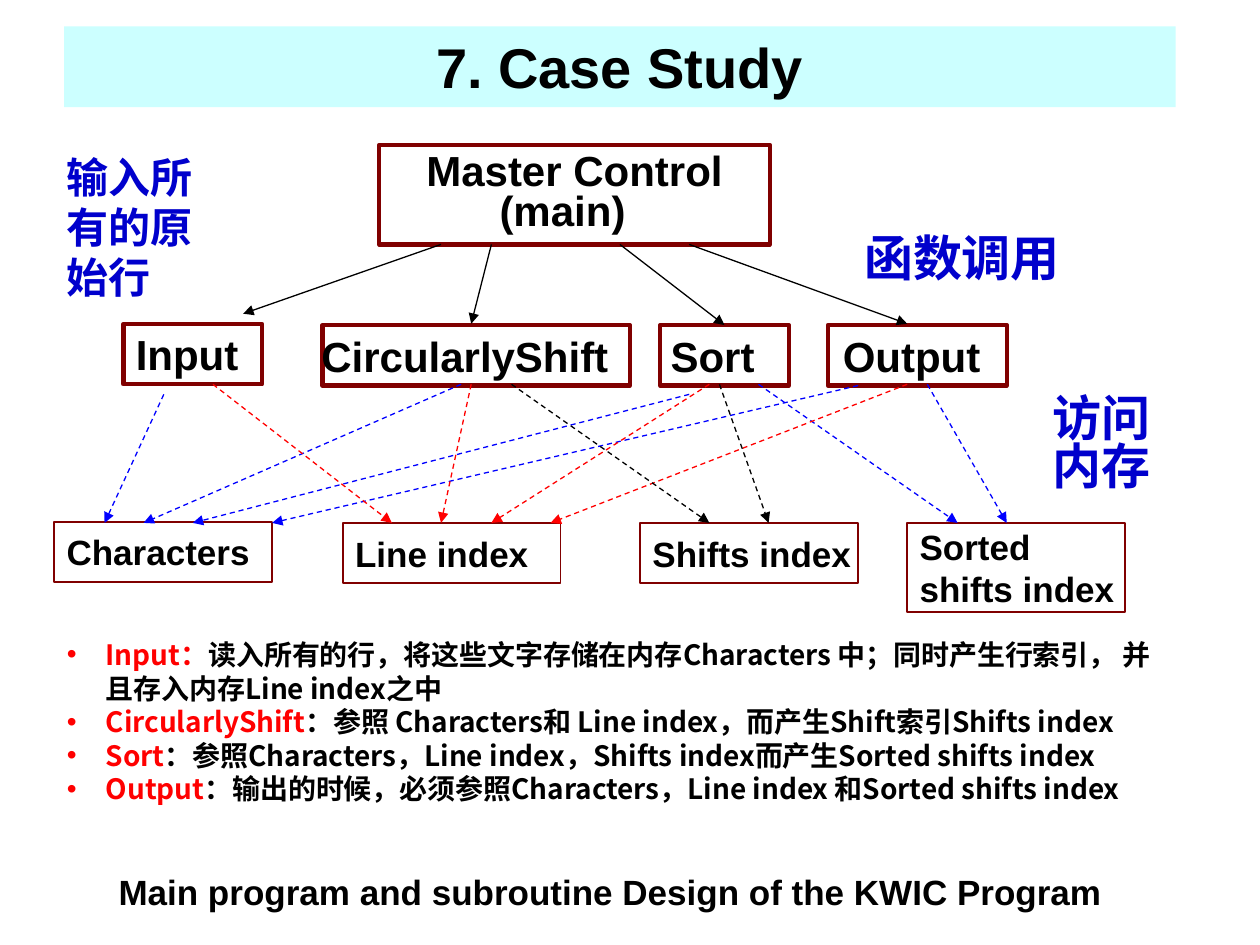
"""Build the KWIC case study slide: call tree, shared memory links and notes."""
import pptx
import pptx.util
from lxml import etree
from pptx.dml.color import RGBColor
from pptx.enum.dml import MSO_LINE
from pptx.enum.shapes import MSO_CONNECTOR, MSO_SHAPE
from pptx.enum.text import MSO_ANCHOR, MSO_AUTO_SIZE, PP_ALIGN
from pptx.oxml.ns import qn

PX = 9144
BLACK = RGBColor(0, 0, 0)
WHITE = RGBColor(255, 255, 255)
MAROON = RGBColor(128, 0, 0)
RED = RGBColor(255, 0, 0)
BLUE = RGBColor(0, 0, 255)
NAVY = RGBColor(0, 0, 204)
AQUA = RGBColor(204, 255, 255)
LATIN, CHINESE = "Arial", "Noto Sans CJK SC"
LEFT, CENTER = PP_ALIGN.LEFT, PP_ALIGN.CENTER

TITLE = ("7. Case Study", (51, 21, 882, 64))
CAPTION = "Main program and subroutine Design of the KWIC Program"
MASTER = (["Master Control", "(main)"], (301, 115, 310, 79))
ROUTINES = [
    ("Input", (98, 257, 110, 48), LEFT, (10, 10)),
    ("CircularlyShift", (256, 258, 244, 48), CENTER, (0, 18)),
    ("Sort", (524, 258, 102, 48), CENTER, (0, 19)),
    ("Output", (657, 258, 142, 48), CENTER, (0, 9)),
]
MEMORIES = [
    (["Characters"], (43, 414, 173, 48)),
    (["Line index"], (272, 415, 173, 48)),
    (["Shifts index"], (508, 415, 173, 48)),
    (["Sorted", "shifts index"], (720, 415, 173, 71)),
]
CALLS = [
    (390, 194, 374, 257), (492, 194, 575, 258),
    (547, 194, 720, 257), (350, 194, 193, 249),
]
SORT_CALL = 1
MEMORY_TOP = 415
ACCESSES = [
    (BLUE, [(130, 313, 83), (366, 305, 114), (547, 313, 153), (681, 306, 216),
            (602, 305, 760), (736, 305, 799)]),
    (RED, [(169, 305, 311), (374, 305, 350), (563, 305, 390), (720, 305, 437)]),
    (BLACK, [(406, 305, 563), (571, 305, 610)]),
]
LABELS = [
    (["函数调用"], (673, 185, 181, 48), 28, CENTER, 0.8),
    (["访问", "内存"], (799, 312, 150, 85), 28, CENTER, 0.8),
    (["输入所有的原始行"], (43, 115, 134, 130), 24, LEFT, 1.0),
]
NOTES_AREA = (43, 501, 890, 197)
NOTES = [
    ("Input：", "读入所有的行，将这些文字存储在内存Characters 中；同时产生行索引， 并且存入内存Line index之中"),
    ("CircularlyShift", "：参照 Characters和 Line index，而产生Shift索引Shifts index"),
    ("Sort", "：参照Characters，Line index，Shifts index而产生Sorted shifts index"),
    ("Output", "：输出的时候，必须参照Characters，Line index 和Sorted shifts index"),
]


def scaled(lengths):
    return [length * PX for length in lengths]


def assign(target, values):
    for name, value in values.items():
        setattr(target, name, value)


def place(part, area):
    assign(part, dict(zip(("left", "top", "width", "height"), scaled(area))))


def set_frame(part, wrap=True, anchor=MSO_ANCHOR.TOP, sides=(10, 10)):
    assign(part.text_frame, {
        "word_wrap": wrap, "auto_size": MSO_AUTO_SIZE.NONE, "vertical_anchor": anchor,
        "margin_left": sides[0] * PX, "margin_right": sides[1] * PX,
        "margin_top": 5 * PX, "margin_bottom": 5 * PX,
    })


def add_run(paragraph, text, size, face, color):
    run = paragraph.add_run()
    run.text = text
    assign(run.font, {"size": pptx.util.Pt(size), "name": face, "bold": True})
    run.font.color.rgb = color
    etree.SubElement(run.font._element, qn("a:ea"), typeface=face)


def write(part, lines, size, face=LATIN, color=BLACK, align=LEFT, spacing=1.0):
    frame = part.text_frame
    for index, line in enumerate(lines):
        paragraph = frame.add_paragraph() if index else frame.paragraphs[0]
        assign(paragraph, {"alignment": align, "line_spacing": spacing})
        add_run(paragraph, line, size, face, color)


def add_box(slide, lines, area, border, size, align=LEFT, sides=(10, 10), spacing=1.0):
    box = slide.shapes.add_shape(MSO_SHAPE.RECTANGLE, *scaled(area))
    box.shadow.inherit = False
    box.fill.solid()
    box.fill.fore_color.rgb = WHITE
    box.line.color.rgb = MAROON
    box.line.width = pptx.util.Pt(border)
    set_frame(box, False, MSO_ANCHOR.MIDDLE, sides)
    write(box, lines, size, align=align, spacing=spacing)
    return box


def add_arrow(slide, ends, color, dash=None):
    arrow = slide.shapes.add_connector(MSO_CONNECTOR.STRAIGHT, *scaled(ends))
    arrow.line.color.rgb = color
    assign(arrow.line, {"width": pptx.util.Pt(0.75), "dash_style": dash})
    etree.SubElement(arrow.line._get_or_add_ln(), qn("a:tailEnd"), type="triangle")
    etree.SubElement(arrow._element.spPr, qn("a:effectLst"))
    return arrow


def add_label(slide, lines, area, size, **style):
    label = slide.shapes.add_textbox(*scaled(area))
    set_frame(label)
    write(label, lines, size, **style)


def fill_notes(body):
    place(body, NOTES_AREA)
    set_frame(body)
    for index, (routine, detail) in enumerate(NOTES):
        paragraph = body.text_frame.add_paragraph() if index else body.text_frame.paragraphs[0]
        paragraph.space_before = pptx.util.Pt(0)
        properties = paragraph._p.get_or_add_pPr()
        properties.set("marL", str(31 * PX))
        properties.set("indent", str(-31 * PX))
        bullet_color = etree.SubElement(properties, qn("a:buClr"))
        etree.SubElement(bullet_color, qn("a:srgbClr"), val=str(RED))
        etree.SubElement(properties, qn("a:buChar"), char="•")
        add_run(paragraph, routine, 16, CHINESE, RED)
        add_run(paragraph, detail, 16, CHINESE, BLACK)


def main():
    deck = pptx.Presentation()
    assign(deck, {"slide_width": 1000 * PX, "slide_height": 750 * PX})
    slide = deck.slides.add_slide(deck.slide_layouts[1])

    title = slide.shapes.title
    place(title, TITLE[1])
    title.fill.solid()
    title.fill.fore_color.rgb = AQUA
    set_frame(title)
    write(title, [TITLE[0]], 32, align=CENTER)

    master = add_box(slide, *MASTER, 2.5, 24, CENTER, spacing=0.8)
    main_line = master.text_frame.paragraphs[1]
    main_line._p.get_or_add_pPr().set("marR", str(19 * PX))
    routines = {name: add_box(slide, [name], area, 2.5, 24, align, sides)
                for name, area, align, sides in ROUTINES}
    for lines, area in MEMORIES:
        add_box(slide, lines, area, 1, 20)

    calls = [add_arrow(slide, ends, BLACK) for ends in CALLS]
    calls[SORT_CALL].end_connect(routines["Sort"], 0)
    for color, links in ACCESSES:
        for x, y, target in links:
            add_arrow(slide, (x, y, target, MEMORY_TOP), color, MSO_LINE.DASH)

    for lines, area, size, align, spacing in LABELS:
        add_label(slide, lines, area, size, face=CHINESE, color=NAVY,
                  align=align, spacing=spacing)
    add_label(slide, [CAPTION], (67, 686, 835, 44), 20, align=CENTER)
    fill_notes(slide.placeholders[1])
    deck.save("out.pptx")


if __name__ == "__main__":
    main()
